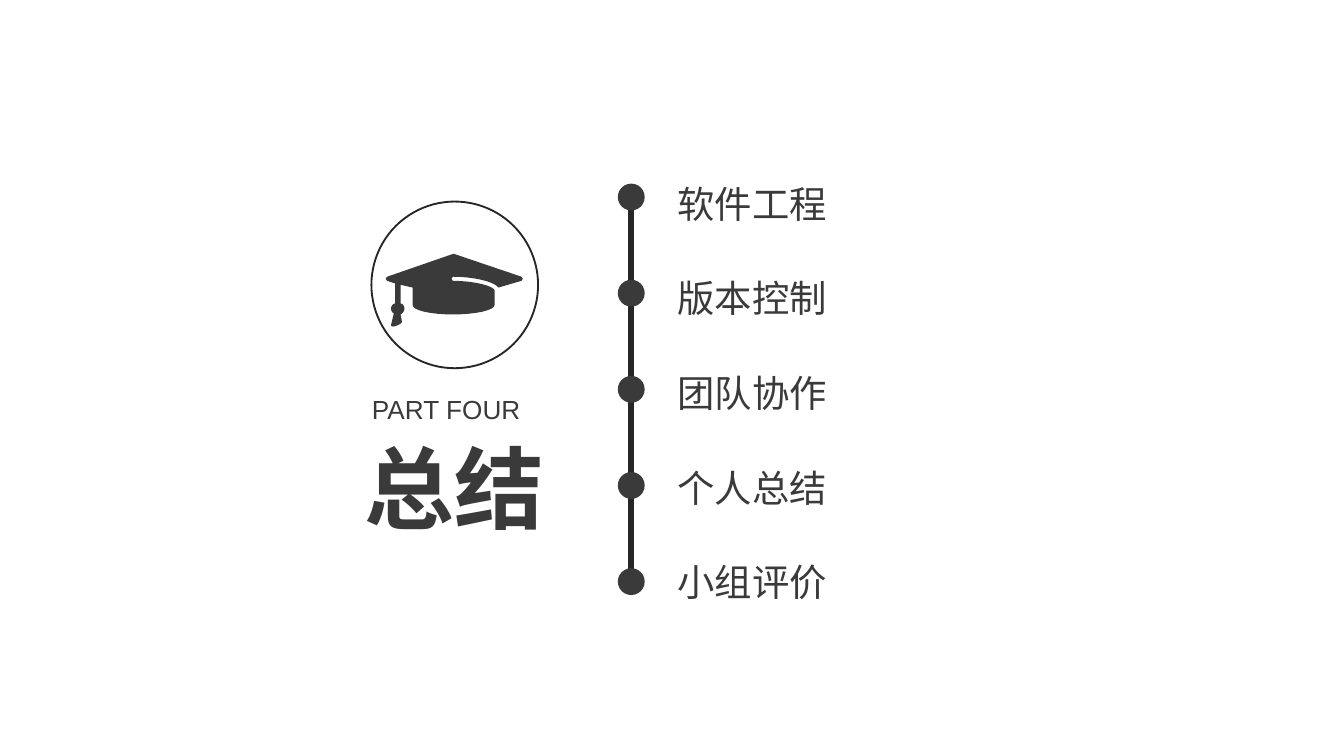
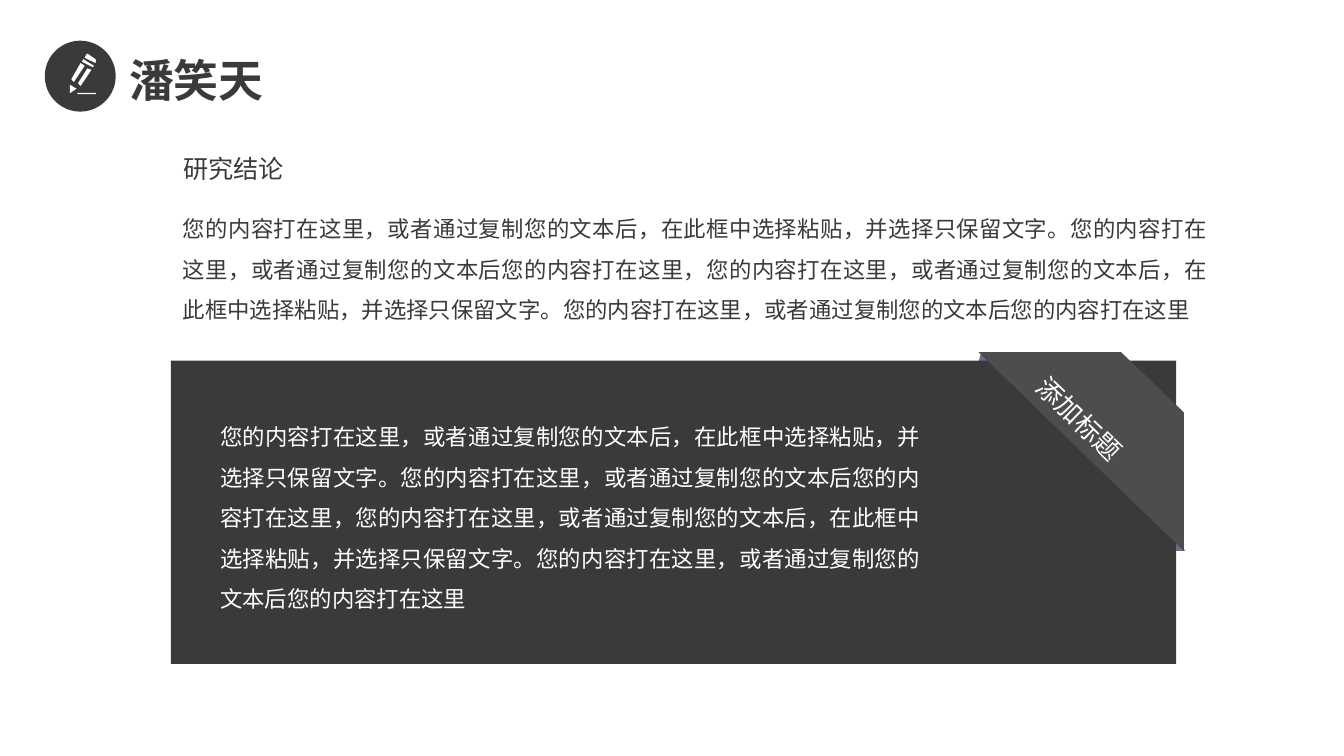
"""Build the summary section page and the conclusion page of the deck."""
from dataclasses import dataclass

from lxml.etree import SubElement
from pptx import Presentation
from pptx.dml.color import RGBColor
from pptx.enum.shapes import MSO_CONNECTOR, MSO_SHAPE
from pptx.enum.text import MSO_ANCHOR, MSO_AUTO_SIZE, PP_ALIGN
from pptx.oxml.ns import qn
from pptx.util import Pt


@dataclass(frozen=True)
class Theme:
    ink: RGBColor = RGBColor.from_string("3A3A3A")
    line: RGBColor = RGBColor.from_string("262626")
    ribbon: RGBColor = RGBColor.from_string("4D4D4D")
    fold: RGBColor = RGBColor.from_string("686C86")
    white: RGBColor = RGBColor.from_string("FFFFFF")
    latin: str = "Arial"
    chinese: str = "Noto Sans CJK SC"
    section: float = 48
    title: float = 24
    item: float = 20
    label: float = 14
    heading: float = 13.5
    body: float = 12


THEME = Theme()
STYLES = {
    "section": {"name": THEME.latin, "size": THEME.section, "bold": True, "leading": 62,
                "alignment": PP_ALIGN.CENTER},
    "title": {"name": THEME.latin, "size": THEME.title, "bold": True, "leading": 31},
    "part": {"name": THEME.latin, "size": THEME.label},
    "item": {"size": THEME.item, "leading": 26, "gap": 24.7},
    "heading": {"size": THEME.heading, "leading": 17},
    "body": {"size": THEME.body, "leading": 21.7, "alignment": PP_ALIGN.JUSTIFY},
    "panel": {"size": THEME.body, "leading": 21.7, "alignment": PP_ALIGN.JUSTIFY,
              "color": THEME.white},
    "ribbon": {"size": THEME.label, "leading": 18, "color": THEME.white},
}

OPENING = "您的内容打在这里，或者通过复制您的文本后"
PASTE = "，在此框中选择粘贴，并选择只保留文字。"
CONCLUSION = OPENING + PASTE + OPENING + "您的内容打在这里，" + OPENING + PASTE + OPENING + "您的内容打在这里"

CAP = [[
    (207.4, 148.3), (242.6, 136.1), (243.4, 136.1), (279.4, 148.3),
    (280.1, 149.4), (279.4, 150.5), (267.1, 154.1),
    (264.2, 150.5, 252.7, 148.3, 242.6, 148.3), (241.9, 149.4), (242.6, 150.5),
    (254.9, 150.5, 264.2, 153.4, 265, 155.5), (265, 163.4),
    (265, 166.3, 254.9, 168.5, 242.6, 168.5),
    (230.4, 168.5, 221, 166.3, 221, 163.4), (221, 154.1),
    (214.6, 152.6), (214.6, 162.7),
    (216, 162.7, 216.7, 164.2, 216.7, 165.6),
    (216.7, 166.3, 216, 167.8, 214.6, 168.5), (215.3, 172.1),
    (216, 173.5, 209.5, 176.4, 209.5, 174.2), (211, 167.8),
    (210.2, 167.8, 209.5, 166.3, 209.5, 165.6),
    (209.5, 164.2, 210.2, 162.7, 211.7, 162.7),
    (211.7, 151.9), (207.4, 150.5), (206.6, 149.4),
]]
PENCIL = [
    [(45.4, 31), (46.1, 29.5), (46.8, 28.8), (47.5, 29.2), (51.1, 31.7), (51.6, 32.6), (51.1, 33.8)],
    [(44.6, 31.7), (43.9, 33.1), (49.7, 36), (50.4, 35.3)],
    [(37.4, 50), (37.4, 45.4), (41, 47.5)],
    [(38.2, 42.5), (43.2, 33.8), (45.4, 35.3), (39.6, 43.9)],
    [(41.8, 44.6), (46.8, 36.7), (49, 37.4), (43.2, 46.1)],
    [(41.4, 49.8), (51.4, 49.8), (51.4, 50.5), (41.4, 50.5)],
]
RIBBON = [[(524.2, 188.6), (634.3, 295.2), (634.3, 221), (600.5, 188.6)]]
FOLDS = [
    [[(635, 295.2), (627, 295.2), (627, 285.1)]],
    [[(525.6, 188.6), (524.2, 194.4), (533.5, 194.4)]],
]


def flatten(contour, steps=8):
    """Return straight-line points for a contour of corners and cubic curves."""
    points = [contour[0]]
    for part in contour[1:]:
        if len(part) == 2:
            points.append(part)
            continue
        knots = [points[-1], part[:2], part[2:4], part[4:]]
        for step in range(1, steps + 1):
            t = step / steps
            weights = ((1 - t) ** 3, 3 * t * (1 - t) ** 2, 3 * t * t * (1 - t), t ** 3)
            points.append(tuple(sum(w * knot[axis] for w, knot in zip(weights, knots))
                                for axis in (0, 1)))
    return [(Pt(x), Pt(y)) for x, y in points]


class PageBuilder:
    """Hold the theme and the current slide, and add its elements."""

    def __init__(self, deck, theme):
        self.deck = deck
        self.theme = theme
        self.page = None

    def new_page(self):
        """Start a page with a title and a body placeholder."""
        self.page = self.deck.slides.add_slide(self.deck.slide_layouts[1])

    def fill_text(self, shape, lines, style, wrap=True):
        """Fill a shape with paragraphs in a named style."""
        look = STYLES[style]
        frame = shape.text_frame
        settings = {"word_wrap": wrap, "auto_size": MSO_AUTO_SIZE.NONE,
                    "vertical_anchor": MSO_ANCHOR.TOP,
                    "margin_left": Pt(7.2), "margin_right": Pt(7.2),
                    "margin_top": Pt(3.6), "margin_bottom": Pt(3.6)}
        for name, value in settings.items():
            setattr(frame, name, value)
        for index, line in enumerate(lines):
            para = frame.add_paragraph() if index else frame.paragraphs[0]
            properties = para._p.get_or_add_pPr()
            properties.set("marL", "0")
            properties.set("indent", "0")
            SubElement(properties, qn("a:buNone"))
            leading = look.get("leading")
            layout = {"alignment": look.get("alignment", PP_ALIGN.LEFT),
                      "line_spacing": Pt(leading) if leading else 1.0,
                      "space_before": Pt(look.get("gap", 0) if index else 0),
                      "space_after": Pt(0)}
            for name, value in layout.items():
                setattr(para, name, value)
            span = para.add_run()
            span.text = line
            font = {"name": look.get("name", self.theme.chinese),
                    "size": Pt(look["size"]), "bold": look.get("bold", False)}
            for name, value in font.items():
                setattr(span.font, name, value)
            span.font.color.rgb = look.get("color", self.theme.ink)
            SubElement(span._r.get_or_add_rPr(), qn("a:ea"), typeface=self.theme.chinese)

    def placeholder(self, index, bounds, lines, style):
        """Move and fill the title (0) or body (1) placeholder."""
        holder = self.page.placeholders[index]
        for name, value in zip(("left", "top", "width", "height"), bounds):
            setattr(holder, name, Pt(value))
        self.fill_text(holder, lines, style)

    def text(self, bounds, line, style, wrap=True):
        """Add a text box."""
        box = self.page.shapes.add_textbox(*map(Pt, bounds))
        self.fill_text(box, [line], style, wrap)

    def paint(self, shape, fill=None, line=None):
        """Set the fill and outline and remove the shadow."""
        shape.shadow.inherit = False
        if fill is None:
            shape.fill.background()
        else:
            shape.fill.solid()
            shape.fill.fore_color.rgb = fill
        if line is None:
            shape.line.fill.background()
        else:
            shape.line.color.rgb = line
            shape.line.width = Pt(1)

    def shape(self, kind, bounds, fill=None, line=None):
        """Add a preset shape."""
        shape = self.page.shapes.add_shape(kind, *map(Pt, bounds))
        self.paint(shape, fill, line)
        return shape

    def outline(self, contours, fill):
        """Add a filled freeform."""
        first, *others = map(flatten, contours)
        builder = self.page.shapes.build_freeform(*first[0], scale=1.0)
        builder.add_line_segments(first[1:], close=True)
        for points in others:
            builder.move_to(*points[0])
            builder.add_line_segments(points[1:], close=True)
        self.paint(builder.convert_to_shape(), fill)

    def connector(self, start, end, width):
        """Add a straight line."""
        line = self.page.shapes.add_connector(MSO_CONNECTOR.STRAIGHT, *map(Pt, start + end))
        line.line.color.rgb = self.theme.line
        line.line.width = Pt(width)
        SubElement(line._element.spPr, qn("a:effectLst"))


def add_section_page(builder):
    """Add the section page with its timeline of topics."""
    theme = builder.theme
    builder.new_page()
    builder.shape(MSO_SHAPE.OVAL, (199, 108, 89.3, 89.3), line=theme.line)
    builder.outline(CAP, theme.ink)
    builder.placeholder(0, (185.8, 224, 115.2, 65.5), ["总结"], "section")
    builder.text((192.2, 207.4, 102.2, 24.5), "PART FOUR", "part")
    topics = ["软件工程", "版本控制", "团队协作", "个人总结", "小组评价"]
    builder.placeholder(1, (355.7, 91.4, 100, 234), topics, "item")
    builder.connector((338.2, 100), (338.2, 312), 3)
    for row in range(len(topics)):
        builder.shape(MSO_SHAPE.OVAL, (331, 98.4 + row * 51.5, 14.4, 14.4), theme.ink)


def add_conclusion_page(builder):
    """Add the conclusion page with its ribboned panel."""
    theme = builder.theme
    builder.new_page()
    builder.placeholder(0, (62, 22.3, 170, 36.7), ["潘笑天"], "title")
    builder.shape(MSO_SHAPE.OVAL, (24.5, 22.3, 37, 37), theme.ink, theme.ink)
    builder.outline(PENCIL, theme.white)
    builder.text((91.4, 77.8, 69, 23.8), "研究结论", "heading", wrap=False)
    builder.placeholder(1, (90.7, 104.4, 563.8, 94.3), [CONCLUSION], "body")
    for fold in FOLDS:
        builder.outline(fold, theme.fold)
    builder.shape(MSO_SHAPE.RECTANGLE, (91.5, 193.2, 538.6, 162.5), theme.ink)
    builder.text((110.9, 216, 389.5, 116.6), CONCLUSION, "panel")
    builder.outline(RIBBON, theme.ribbon)
    label = builder.shape(MSO_SHAPE.RECTANGLE, (543.6, 211.7, 71.3, 24.5), theme.ribbon)
    label.rotation = 44
    builder.fill_text(label, ["添加标题"], "ribbon", wrap=False)


def main():
    """Build and save the deck."""
    deck = Presentation()
    deck.slide_width, deck.slide_height = Pt(720), Pt(405)
    builder = PageBuilder(deck, THEME)
    add_section_page(builder)
    add_conclusion_page(builder)
    deck.save("out.pptx")


if __name__ == "__main__":
    main()
